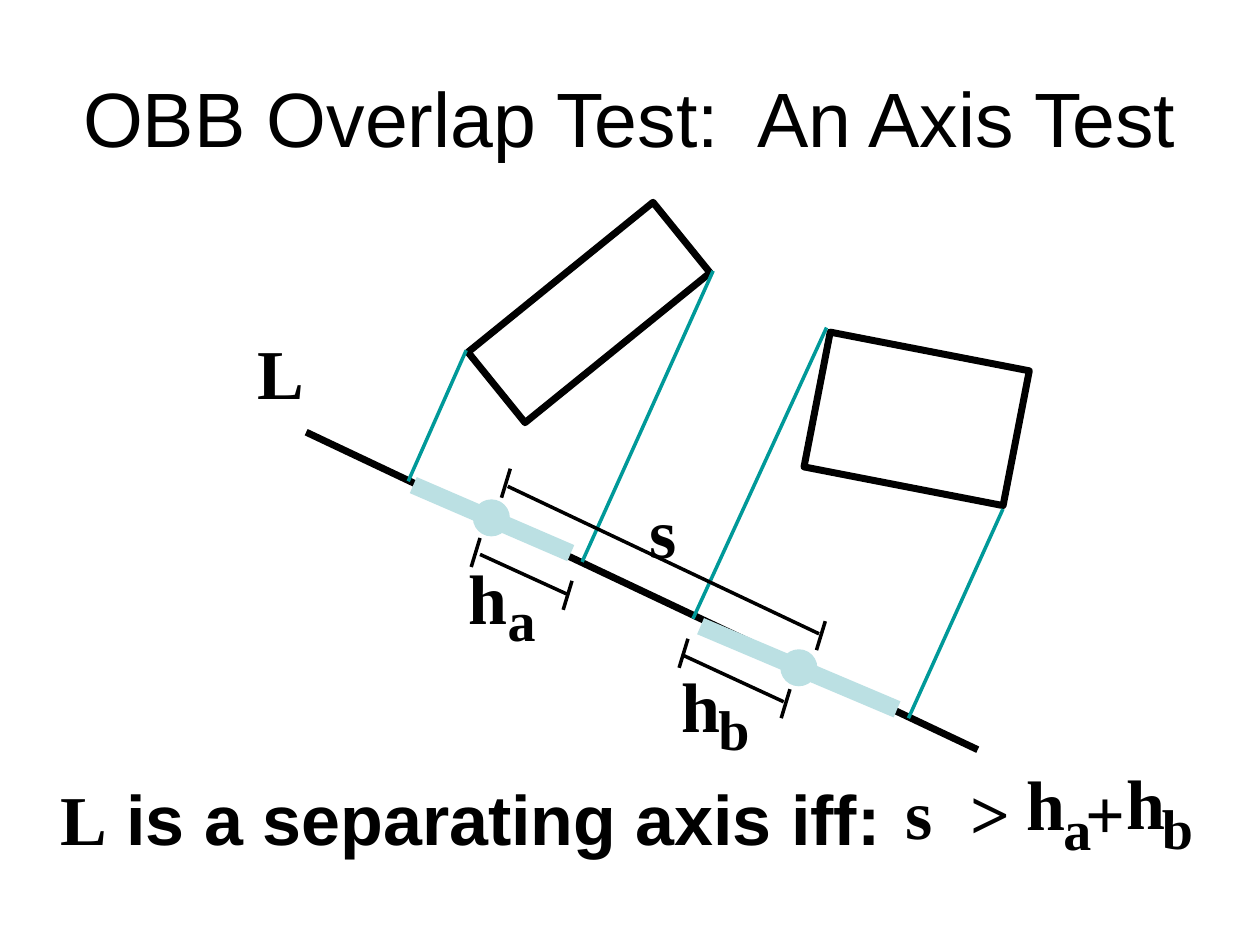
from pptx import Presentation
from pptx.dml.color import RGBColor
from pptx.enum.shapes import MSO_CONNECTOR, MSO_SHAPE
from pptx.enum.text import MSO_ANCHOR, PP_ALIGN
from pptx.oxml.ns import qn
from pptx.util import Pt
from lxml import etree

RECT, OVAL = MSO_SHAPE.RECTANGLE, MSO_SHAPE.OVAL
LINE = MSO_CONNECTOR.STRAIGHT
CENTER, MIDDLE, TOP = PP_ALIGN.CENTER, MSO_ANCHOR.MIDDLE, MSO_ANCHOR.TOP

PX = 9144  # EMU per px, 100 px to the inch
SIZE = (1000, 750)
BLACK, TEAL, PALE = "000000", "009999", "BBE0E3"
SANS, SERIF = "Arial", "Times New Roman"

# Content: boxes are left, top, width, height, turn
BOXES = [(373, 212, 189, 72, 321), (647, 278, 161, 109, 11)]
AXIS = [(243, 343, 776, 595)]
RAYS = [(324, 382, 370, 278), (462, 446, 566, 215),
        (550, 491, 656, 260), (721, 570, 796, 404)]
SPANS = [(328, 385, 453, 439), (556, 497, 712, 563)]
DOTS = [(390, 411), (634, 530)]
DOT = 28

# Measures, and the lower ends of the ticks that close them
GAUGES = [(403, 386, 650, 503), (542, 520, 622, 557), (381, 440, 451, 472)]
TICKS = [(398, 395), (648, 516), (539, 530), (620, 570), (374, 450), (447, 484)]
TICK = (7, -23)

# Labels: left, top, width, text
MAIN = [(506, 383, 41, "s"), (362, 435, 51, "h"), (531, 521, 51, "h"),
        (194, 257, 57, "L"), (709, 606, 41, "s"), (760, 606, 51, ">"),
        (805, 599, 51, "h"), (852, 606, 51, "+"), (884, 598, 51, "h")]
SUBS = [(393, 460, 42, "a"), (560, 546, 45, "b"),
        (834, 626, 42, "a"), (912, 625, 45, "b")]
TITLE = "OBB Overlap Test:  An Axis Test"
RULE = [("L", SERIF), (" is a separating axis iff:", SANS)]


def px(*vals):
    return [round(v * PX) for v in vals]


def color(code):
    return RGBColor.from_string(code)


def stroke(line, code, width):
    line.color.rgb = color(code)
    line.width = Pt(width)


def shape(kind, at, code, width, fill=None, turn=0):
    item = slide.shapes.add_shape(kind, *px(*at))
    item.shadow.inherit = False
    item.rotation = turn
    if fill:
        item.fill.solid()
        item.fill.fore_color.rgb = color(fill)
    else:
        item.fill.background()
    stroke(item.line, code, width)


def lines(ends, code, width):
    for end in ends:
        item = slide.shapes.add_connector(LINE, *px(*end))
        stroke(item.line, code, width)
        etree.SubElement(item._element.spPr, qn("a:effectLst"))


def label(at, runs, size, bold=True, wrap=False, anchor=TOP):
    frame = slide.shapes.add_textbox(*px(*at)).text_frame
    frame.word_wrap = wrap
    frame.vertical_anchor = anchor
    para = frame.paragraphs[0]
    para.alignment = CENTER
    for text, face in runs:
        run = para.add_run()
        run.text = text
        run.font.color.rgb = color(BLACK)
        style = {"name": face, "size": Pt(size), "bold": bold}
        for key, val in style.items():
            setattr(run.font, key, val)


deck = Presentation()
deck.slide_width, deck.slide_height = px(*SIZE)
slide = deck.slides.add_slide(deck.slide_layouts[6])

# Title
label((50, 30, 900, 125), [(TITLE, SANS)], 44, False, True, MIDDLE)

# Boxes, axis and projection rays
for *at, turn in BOXES:
    shape(RECT, at, BLACK, 4, turn=turn)
lines(AXIS, BLACK, 4)
lines(RAYS, TEAL, 2)

# Projected spans and their centers
lines(SPANS, PALE, 10)
for x, y in DOTS:
    shape(OVAL, (x - DOT / 2, y - DOT / 2, DOT, DOT), PALE, 1, PALE)

# Measures with end ticks
lines(GAUGES, BLACK, 2)
lines([(x, y, x + TICK[0], y + TICK[1]) for x, y in TICKS], BLACK, 2)

# Labels and the separating rule
for group, size, high in ((MAIN, 40, 76), (SUBS, 32, 63)):
    for x, y, wide, text in group:
        label((x, y, wide, high), [(text, SERIF)], size)
label((38, 611, 671, 76), RULE, 40)

deck.save("out.pptx")
